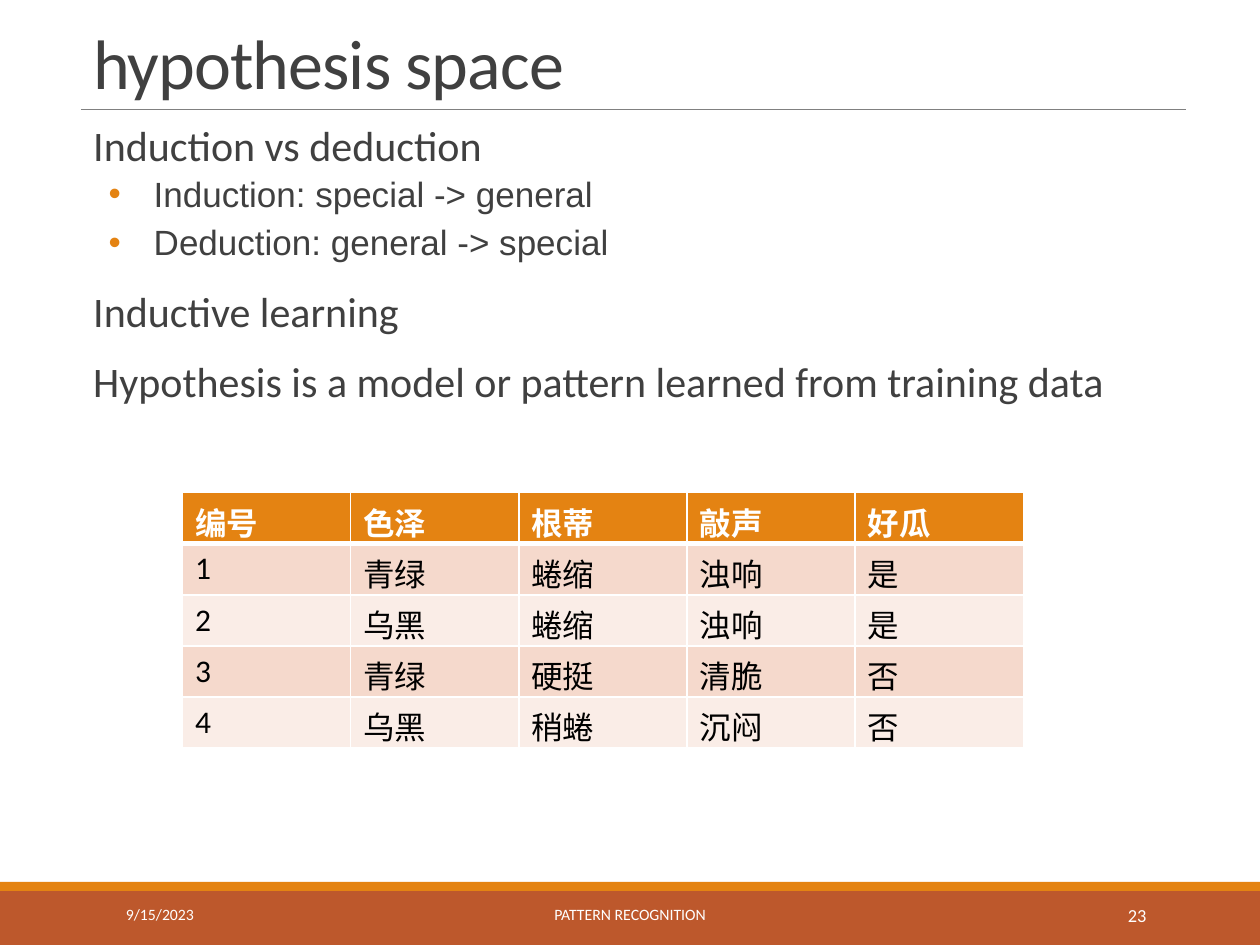
import pptx
import pptx.dml.color
import pptx.enum.shapes
import pptx.enum.text
import pptx.oxml.ns
import pptx.util
from lxml import etree

Cm, Pt = pptx.util.Cm, pptx.util.Pt
ALIGN = pptx.enum.text.PP_ALIGN
ANCHOR = pptx.enum.text.MSO_ANCHOR

COLORS = {
    "rust": "BD582C",
    "orange": "E48312",
    "rule": "808080",
    "text": "404040",
    "white": "FFFFFF",
    "black": "000000",
    "band_dark": "F5D9CC",
    "band_light": "FAEDE7",
}

# (text, is a bullet)
BODY = [
    ("Induction vs deduction", False),
    ("Induction: special -> general", True),
    ("Deduction: general -> special", True),
    ("Inductive learning", False),
    ("Hypothesis is a model or pattern learned from training data", False),
]

MELONS = [
    ["编号", "色泽", "根蒂", "敲声", "好瓜"],
    ["1", "青绿", "蜷缩", "浊响", "是"],
    ["2", "乌黑", "蜷缩", "浊响", "是"],
    ["3", "青绿", "硬挺", "清脆", "否"],
    ["4", "乌黑", "稍蜷", "沉闷", "否"],
]

# (text, left, width, size, alignment)
FOOTER = [
    ("9/15/2023", 2.29, 5.16, 9, ALIGN.LEFT),
    ("PATTERN RECOGNITION", 7.67, 10.06, 9, ALIGN.CENTER),
    ("23", 20.62, 2.74, 10.5, ALIGN.RIGHT),
]


def rgb(name):
    return pptx.dml.color.RGBColor.from_string(COLORS[name])


def add_element(parent, tag, **attributes):
    return etree.SubElement(parent, pptx.oxml.ns.qn(tag), attributes)


def format_runs(paragraph, size, color, font="Calibri", bold=False):
    for run in paragraph.runs:
        run.font.name = font
        run.font.size = Pt(size)
        run.font.bold = bold
        run.font.color.rgb = rgb(color)


def add_band(slide, top, height, color):
    band = slide.shapes.add_shape(
        pptx.enum.shapes.MSO_SHAPE.RECTANGLE, 0, Cm(top), Cm(25.4), Cm(height))
    band.shadow.inherit = False
    band.fill.solid()
    band.fill.fore_color.rgb = rgb(color)
    band.line.fill.background()


def add_rule(slide, left, right, y):
    rule = slide.shapes.add_connector(
        pptx.enum.shapes.MSO_CONNECTOR.STRAIGHT, Cm(left), Cm(y), Cm(right), Cm(y))
    rule.line.color.rgb = rgb("rule")
    rule.line.width = Pt(0.5)
    add_element(rule._element.spPr, "a:effectLst")


def add_text_frame(slide, left, top, width, height, anchor):
    box = slide.shapes.add_textbox(Cm(left), Cm(top), Cm(width), Cm(height))
    text_frame = box.text_frame
    text_frame.word_wrap = True
    text_frame.vertical_anchor = anchor
    return text_frame


def add_title(slide, text):
    text_frame = add_text_frame(slide, 1.63, 0.33, 22.28, 1.88, ANCHOR.BOTTOM)
    text_frame.text = text
    paragraph = text_frame.paragraphs[0]
    paragraph.line_spacing = 0.85
    format_runs(paragraph, 40, "text")
    paragraph.runs[0].font._element.set("spc", "-50")


def set_indent(paragraph, left, first_line=0):
    properties = paragraph._p.get_or_add_pPr()
    properties.set("marL", str(Cm(left)))
    properties.set("indent", str(Cm(first_line)))
    return properties


def add_bullet(paragraph):
    properties = set_indent(paragraph, 1.47, -0.91)
    bullet_color = add_element(properties, "a:buClr")
    add_element(bullet_color, "a:srgbClr", val=COLORS["orange"])
    add_element(properties, "a:buFont", typeface="Arial")
    add_element(properties, "a:buChar", char="•")


def add_body(slide, lines):
    text_frame = add_text_frame(slide, 1.63, 2.39, 22.28, 15.11, ANCHOR.TOP)
    text_frame.margin_left = text_frame.margin_right = 0
    text_frame.text = "\n".join(text for text, _ in lines)
    for index, (paragraph, (_, bulleted)) in enumerate(zip(text_frame.paragraphs, lines)):
        if bulleted:
            paragraph.level = 1
            add_bullet(paragraph)
            before, after, size, font = 2, 4, 20, "Arial"
        else:
            set_indent(paragraph, 0.25)
            before, after, size, font = 12, 2, 24, "Calibri"
        paragraph.line_spacing = 0.9
        paragraph.space_before = Pt(before if index else 0)
        paragraph.space_after = Pt(after)
        format_runs(paragraph, size, "text", font)


def set_borders(cell, **widths):
    properties = cell._tc.get_or_add_tcPr()
    for side in "LRTB":
        line = add_element(properties, f"a:ln{side}", w=str(Pt(widths.get(side, 1))))
        fill = add_element(line, "a:solidFill")
        add_element(fill, "a:srgbClr", val=COLORS["white"])


def add_melon_table(slide, rows):
    column_width, row_height = Cm(3.39), Cm(1.03)
    column_count = len(rows[0])
    table = slide.shapes.add_table(
        len(rows), column_count, Cm(3.68), Cm(9.93),
        column_width * column_count, row_height * len(rows)).table
    table.horz_banding = False
    for row_index, row in enumerate(rows):
        is_header = row_index == 0
        if is_header:
            fill, borders = "orange", {"B": 3}
        else:
            fill = "band_dark" if row_index % 2 else "band_light"
            borders = {"T": 3} if row_index == 1 else {}
        for column_index, text in enumerate(row):
            cell = table.cell(row_index, column_index)
            set_borders(cell, **borders)
            cell.fill.solid()
            cell.fill.fore_color.rgb = rgb(fill)
            cell.text_frame.text = text
            format_runs(cell.text_frame.paragraphs[0], 18,
                        "white" if is_header else "black", bold=is_header)


def add_footer(slide, entries):
    for text, left, width, size, alignment in entries:
        text_frame = add_text_frame(slide, left, 17.93, width, 1.02, ANCHOR.MIDDLE)
        text_frame.text = text
        paragraph = text_frame.paragraphs[0]
        paragraph.alignment = alignment
        format_runs(paragraph, size, "white")


def main():
    presentation = pptx.Presentation()
    presentation.slide_width, presentation.slide_height = Cm(25.4), Cm(19.05)
    slide = presentation.slides.add_slide(presentation.slide_layouts[6])

    # Footer bands and title rule
    add_band(slide, 17.93, 1.12, "rust")
    add_band(slide, 17.78, 0.18, "orange")
    add_rule(slide, 1.63, 23.9, 2.21)

    # Title and body text
    add_title(slide, "hypothesis space")
    add_body(slide, BODY)

    # Footer text and training data
    add_footer(slide, FOOTER)
    add_melon_table(slide, MELONS)

    presentation.save("out.pptx")


if __name__ == "__main__":
    main()
